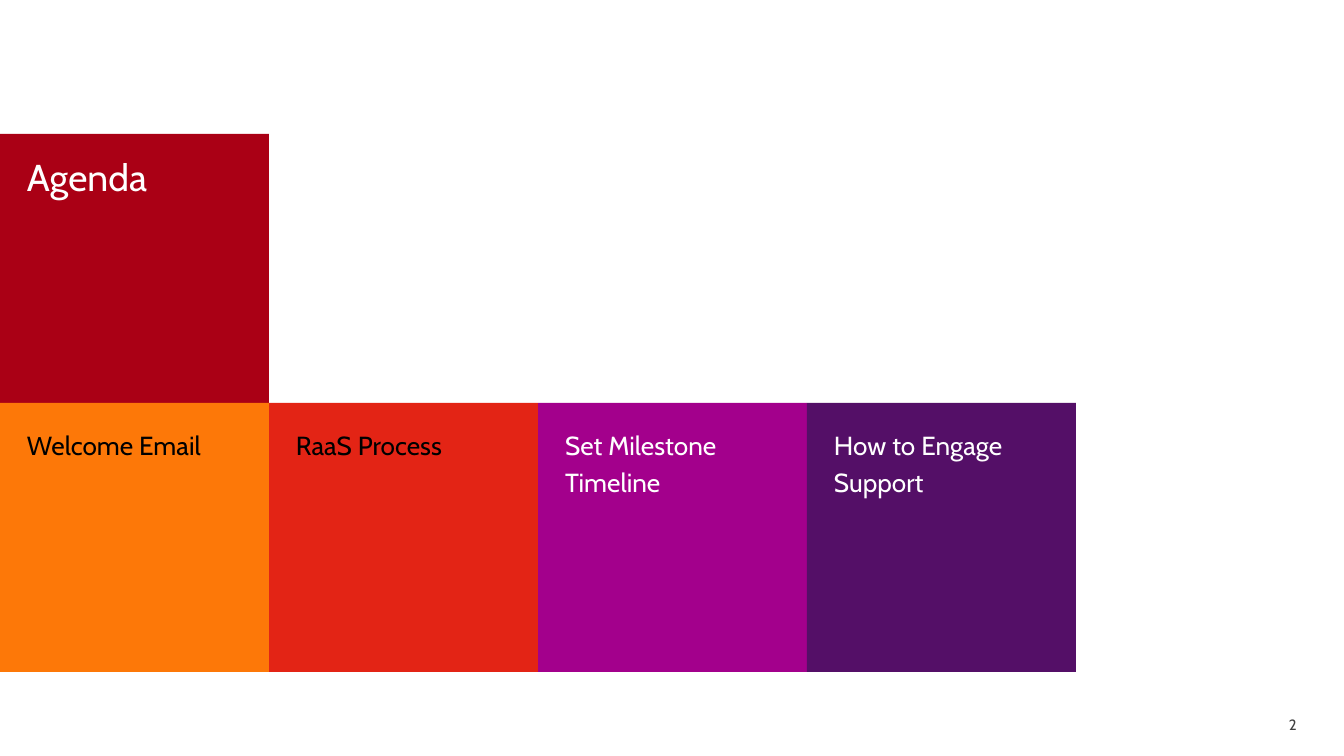
"""Build an agenda slide with a title tile above a row of four topic tiles."""
from lxml import etree
from pptx import Presentation
from pptx.dml.color import RGBColor
from pptx.enum.text import MSO_ANCHOR as ANCHOR, MSO_AUTO_SIZE as AUTO, PP_ALIGN as ALIGN
from pptx.oxml.ns import qn
from pptx.util import Pt

PX = 914400 / 134.4
FONT = "Cabin"
WHITE = RGBColor(0xFF, 0xFF, 0xFF)
BLACK = RGBColor(0x00, 0x00, 0x00)
GRAY = RGBColor(0x40, 0x40, 0x40)
CRIMSON = RGBColor(0xAA, 0x00, 0x15)
ORANGE = RGBColor(0xFD, 0x78, 0x08)
RED = RGBColor(0xE3, 0x24, 0x15)
MAGENTA = RGBColor(0xA3, 0x00, 0x8C)
PURPLE = RGBColor(0x54, 0x0F, 0x67)
TILE = 269
TITLE_TOP = 134


def px(n):
    return round(n * PX)


def write(sp, text, size, color, align, anchor, spacing):
    tf = sp.text_frame
    tf.word_wrap = True
    tf.auto_size = AUTO.NONE
    tf.vertical_anchor = anchor
    p = tf.paragraphs[0]
    p.alignment = align
    p.line_spacing = spacing
    p.space_before = Pt(0)
    r = p.add_run()
    r.text = text
    r.font.name = FONT
    r.font.size = Pt(size)
    r.font.bold = False
    r.font.color.rgb = color


prs = Presentation()
prs.slide_width, prs.slide_height = px(1344), px(756)
s = prs.slides.add_slide(prs.slide_layouts.get_by_name("Comparison"))
title, *topics = s.placeholders

tiles = [
    (title, "Agenda", 20, WHITE, CRIMSON, 0, TITLE_TOP, 1.0),
]
agenda = [
    ("Welcome Email", BLACK, ORANGE),
    ("RaaS Process", BLACK, RED),
    ("Set Milestone Timeline", WHITE, MAGENTA),
    ("How to Engage Support", WHITE, PURPLE),
]
for i, (sp, (text, color, fill)) in enumerate(zip(topics, agenda)):
    tiles.append((sp, text, 14, color, fill, i * TILE, TITLE_TOP + TILE, 1.2))

for sp, text, size, color, fill, left, top, spacing in tiles:
    sp.left, sp.top, sp.width, sp.height = px(left), px(top), px(TILE), px(TILE)
    sp.fill.solid()
    sp.fill.fore_color.rgb = fill
    tf = sp.text_frame
    tf.margin_left, tf.margin_top = px(27), px(20)
    tf.margin_right, tf.margin_bottom = px(13), px(7)
    write(sp, text, size, color, ALIGN.LEFT, ANCHOR.TOP, spacing)
    pPr = tf.paragraphs[0]._p.get_or_add_pPr()
    pPr.set("marL", "0")
    pPr.set("indent", "0")
    etree.SubElement(pPr, qn("a:buNone"))

number = s.shapes.add_textbox(px(997), px(700), px(313), px(40))
write(number, "2", 8, GRAY, ALIGN.RIGHT, ANCHOR.BOTTOM, 1.0)

prs.save("out.pptx")
